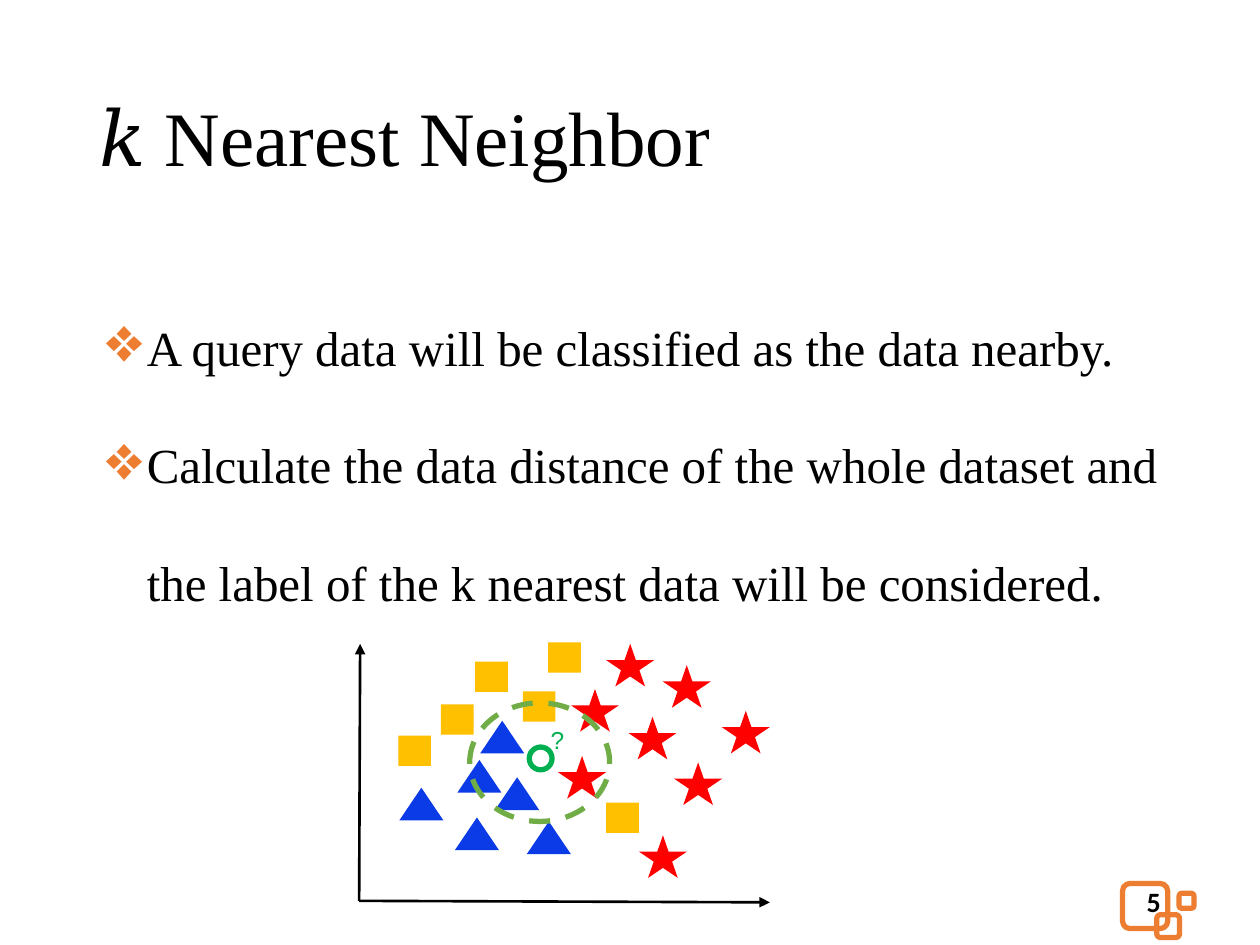
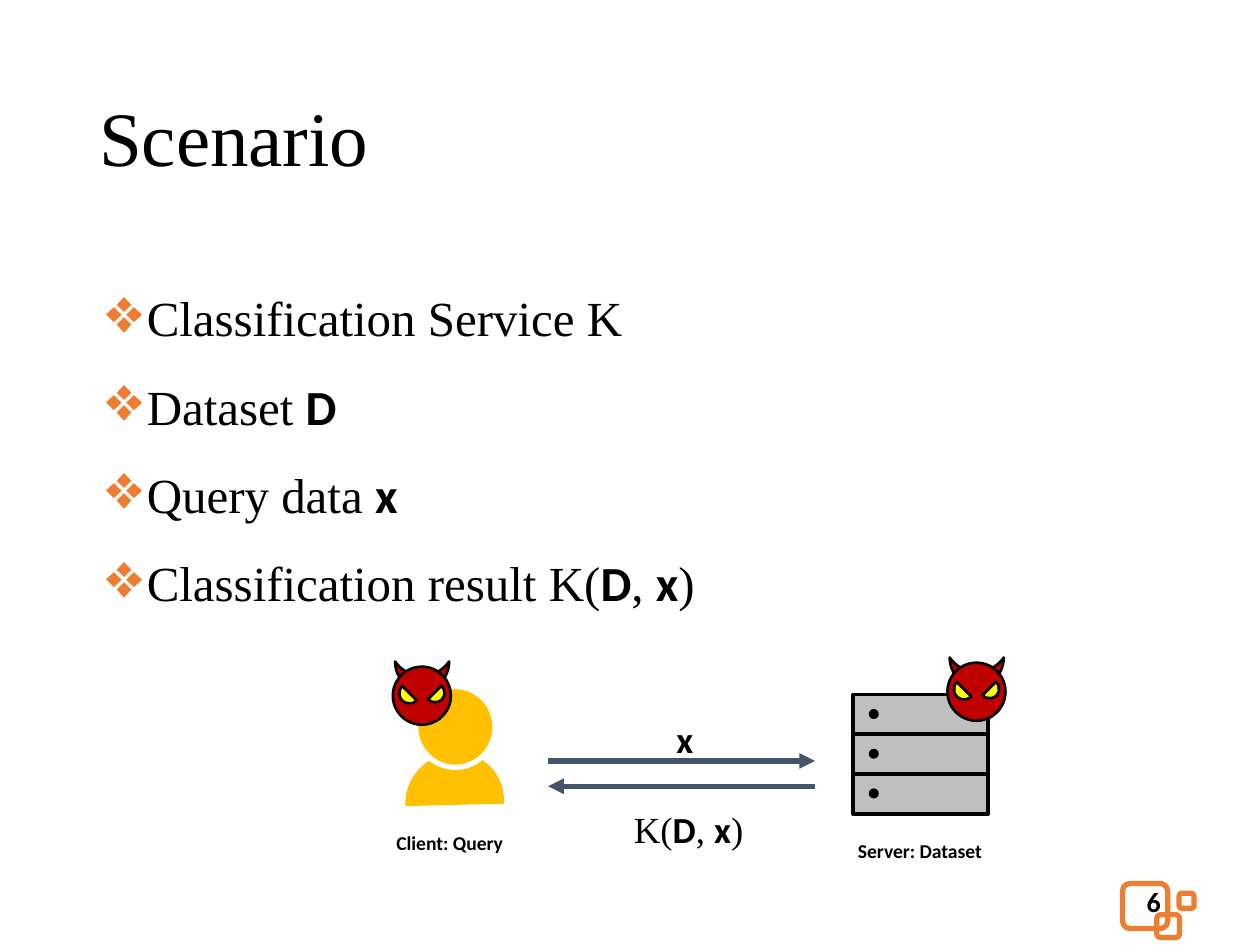
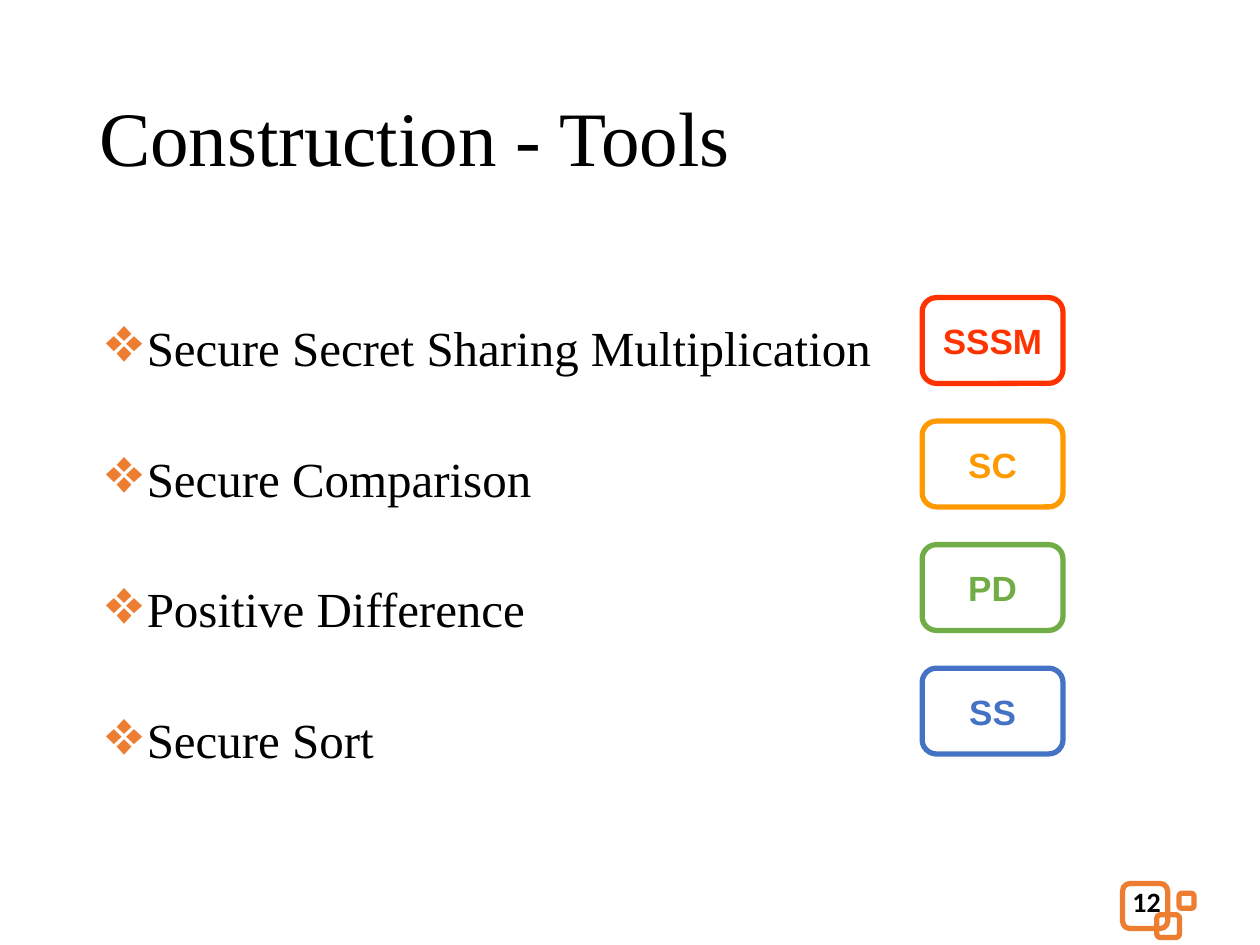
"""Build three slides on nearest neighbour search between a client and a server."""
from dataclasses import dataclass
from typing import NamedTuple

from lxml.etree import SubElement
from pptx import Presentation
from pptx.dml.color import RGBColor
from pptx.enum.dml import MSO_LINE
from pptx.enum.shapes import MSO_CONNECTOR, MSO_SHAPE
from pptx.enum.text import MSO_ANCHOR, PP_ALIGN
from pptx.oxml.ns import qn
from pptx.shapes.autoshape import Shape
from pptx.slide import Slide
from pptx.text.text import TextFrame
from pptx.util import Cm, Pt

HUES = {
    "black": "000000", "white": "FFFFFF", "orange": "ED7D31", "gold": "FFC000",
    "red": "FF0000", "blue": "0B3AE7", "query": "00B050", "green": "70AD47",
    "gray": "BFBFBF", "slate": "44546A", "devil": "C00000", "yellow": "FFFF00",
    "flame": "FF3300", "amber": "FF9900", "cobalt": "4472C4",
}
SERIF, SANS, PLAIN = "Times New Roman", "Calibri", "Arial"


class Box(NamedTuple):
    left: float
    top: float
    width: float
    height: float

    def move(self, right: float, down: float) -> "Box":
        return self._replace(left=self.left + right, top=self.top + down)


class Bit(NamedTuple):
    text: str
    font: str = SERIF
    bold: bool = False


@dataclass(frozen=True)
class Form:
    kind: MSO_SHAPE
    box: Box
    fill: str = ""
    line: str = ""
    weight: float = 1.5
    turn: float = 0
    flip: bool = False
    bends: tuple[float, ...] = ()


@dataclass(frozen=True)
class Style:
    size: float
    color: str = "black"
    align: PP_ALIGN = PP_ALIGN.LEFT
    anchor: MSO_ANCHOR = MSO_ANCHOR.TOP
    space: float = 1.0
    before: float = 0
    bullet: bool = False
    inset: tuple[float, float] = (0.25, 0.13)


class Cloud(NamedTuple):
    kind: MSO_SHAPE
    color: str
    width: float
    height: float
    spots: list[tuple[float, float]]


class Tool(NamedTuple):
    name: str
    short: str
    color: str


TITLE = Style(44, anchor=MSO_ANCHOR.MIDDLE, space=0.9)
NUMBER = Style(16, align=PP_ALIGN.RIGHT, anchor=MSO_ANCHOR.MIDDLE)
CAPTION = Style(11.2, align=PP_ALIGN.CENTER, anchor=MSO_ANCHOR.BOTTOM, inset=(0.18, 0.18))
D, X = Bit("D", SANS, True), Bit("x", SANS, True)
RESULT = [Bit("K("), D, Bit(", "), X, Bit(")")]

BADGE = [
    Form(MSO_SHAPE.ROUNDED_RECTANGLE, Box(left, top, side, side), line="orange", weight=3)
    for left, top, side in [(22.63, 17.81, 0.91), (23.32, 18.44, 0.46), (23.77, 18.01, 0.3)]
]
DEVIL = [
    Form(MSO_SHAPE.MOON, Box(0.3, -0.36, 0.58, 1.09), "devil", "black", turn=270),
    Form(MSO_SHAPE.OVAL, Box(0, 0, 1.17, 1.17), "devil", "black"),
    Form(MSO_SHAPE.PIE, Box(0.13, 0.33, 0.41, 0.41), "yellow", "black",
         turn=315, bends=(54, 162)),
    Form(MSO_SHAPE.PIE, Box(0.64, 0.33, 0.41, 0.38), "yellow", "black",
         turn=45, flip=True, bends=(54, 162)),
]
CLOUDS = [
    Cloud(MSO_SHAPE.RECTANGLE, "gold", 0.66, 0.61, [
        (8.89, 14.2), (9.58, 13.34), (8.03, 14.83), (10.54, 13.94),
        (11.05, 12.95), (12.22, 16.18)]),
    Cloud(MSO_SHAPE.ISOSCELES_TRIANGLE, "blue", 0.89, 0.66, [
        (9.17, 16.48), (8.05, 15.88), (10.62, 16.56), (9.22, 15.32),
        (9.98, 15.67), (9.68, 14.53)]),
    Cloud(MSO_SHAPE.STAR_5_POINT, "red", 0.97, 0.86, [
        (12.22, 12.98), (12.67, 14.45), (11.25, 15.24), (13.36, 13.41),
        (13.59, 15.37), (14.55, 14.33), (11.51, 13.89), (12.88, 16.84)]),
]
TOOLS = [
    Tool("Secure Secret Sharing Multiplication", "SSSM", "flame"),
    Tool("Secure Comparison", "SC", "amber"),
    Tool("Positive Difference", "PD", "green"),
    Tool("Secure Sort", "SS", "cobalt"),
]


def hue(name: str) -> RGBColor:
    return RGBColor.from_string(HUES[name])


def draw(slide: Slide, form: Form, right: float = 0, down: float = 0) -> Shape:
    shape = slide.shapes.add_shape(form.kind, *map(Cm, form.box.move(right, down)))
    shape.shadow.inherit = False
    shape.rotation = form.turn
    if form.flip:
        shape._element.spPr.xfrm.set("flipH", "1")
    for index, bend in enumerate(form.bends):
        shape.adjustments[index] = bend
    if form.fill:
        shape.fill.solid()
        shape.fill.fore_color.rgb = hue(form.fill)
    else:
        shape.fill.background()
    if form.line:
        shape.line.color.rgb = hue(form.line)
        shape.line.width = Pt(form.weight)
    else:
        shape.line.fill.background()
    return shape


def write(frame: TextFrame, lines: list[list[Bit]], style: Style) -> None:
    frame.word_wrap = True
    frame.vertical_anchor = style.anchor
    frame.margin_left = frame.margin_right = Cm(style.inset[0])
    frame.margin_top = frame.margin_bottom = Cm(style.inset[1])
    for index, bits in enumerate(lines):
        para = frame.add_paragraph() if index else frame.paragraphs[0]
        para.alignment = style.align
        para.line_spacing = style.space
        para.space_before = Pt(style.before)
        if style.bullet:
            props = para._p.get_or_add_pPr()
            props.set("marL", str(Cm(0.96)))
            props.set("indent", str(Cm(-0.82)))
            tint = SubElement(props, qn("a:buClr"))
            SubElement(tint, qn("a:srgbClr"), val=HUES["orange"])
            SubElement(props, qn("a:buSzPct"), val="130000")
            SubElement(props, qn("a:buChar"), char="❖")
        for bit in bits:
            run = para.add_run()
            run.text = bit.text
            run.font.name = bit.font
            run.font.size = Pt(style.size)
            run.font.bold = bit.bold
            run.font.color.rgb = hue(style.color)


def label(slide: Slide, box: Box, lines: list[list[Bit]], style: Style) -> None:
    write(slide.shapes.add_textbox(*map(Cm, box)).text_frame, lines, style)


def arrow(slide: Slide, start: tuple[float, float], end: tuple[float, float],
          color: str, weight: float) -> None:
    line = slide.shapes.add_connector(MSO_CONNECTOR.STRAIGHT, *map(Cm, start + end))
    line.line.color.rgb = hue(color)
    line.line.width = Pt(weight)
    props = line._element.spPr
    SubElement(props.find(qn("a:ln")), qn("a:tailEnd"), type="triangle")
    SubElement(props, qn("a:effectLst"))


def start(deck: Presentation, number: int, title: str,
          points: list[list[Bit]], space: float, before: float = 0) -> Slide:
    slide = deck.slides.add_slide(deck.slide_layouts[6])
    label(slide, Box(17.93, 17.65, 5.72, 1.02), [[Bit(str(number), SANS, True)]], NUMBER)
    for form in BADGE:
        draw(slide, form)
    label(slide, Box(1.75, 1.02, 21.9, 3.68), [[Bit(title)]], TITLE)
    body = Style(28, space=space, before=before, bullet=True)
    label(slide, Box(1.75, 5.08, 21.9, 12.09), points, body)
    return slide


def nearest(deck: Presentation) -> None:
    slide = start(deck, 5, "𝑘 Nearest Neighbor", [
        [Bit("A query data will be classified as the data nearby.")],
        [Bit("Calculate the data distance of the whole dataset and "
             "the label of the k nearest data will be considered.")],
    ], 2.0)
    draw(slide, Form(MSO_SHAPE.OVAL, Box(10.67, 15.06, 0.46, 0.46), line="query", weight=3))
    label(slide, Box(10.85, 14.48, 0.91, 0.89), [[Bit("?", PLAIN)]], Style(14, "query"))
    for cloud in CLOUDS:
        for spot in cloud.spots:
            draw(slide, Form(cloud.kind, Box(*spot, cloud.width, cloud.height), cloud.color))
    for end in [(7.26, 12.98), (15.52, 18.19)]:
        arrow(slide, (7.24, 18.16), end, "black", 1.5)
    ring = draw(slide, Form(MSO_SHAPE.OVAL, Box(9.47, 14.17, 2.82, 2.39),
                            line="green", weight=3))
    ring.line.dash_style = MSO_LINE.DASH


def service(deck: Presentation) -> None:
    slide = start(deck, 6, "Scenario", [
        [Bit("Classification Service K")],
        [Bit("Dataset "), D],
        [Bit("Query data "), X],
        [Bit("Classification result "), *RESULT],
    ], 1.5)
    rack = Form(MSO_SHAPE.RECTANGLE, Box(17.2, 14, 2.72, 0.81), "gray", "black", 2)
    light = Form(MSO_SHAPE.OVAL, Box(17.55, 14.33, 0.13, 0.13), "black", "black", 2)
    for row in range(3):
        for form in (rack, light):
            draw(slide, form, down=0.8 * row)
    near, far = 11.05, 16.43
    arrow(slide, (near, 15.34), (far, 15.34), "slate", 3)
    arrow(slide, (far, 15.85), (near, 15.85), "slate", 3)
    inset = (0.18, 0.18)
    label(slide, Box(12.93, 13.39, 1.75, 2.21), [[X]],
          Style(21, align=PP_ALIGN.CENTER, space=2.0, inset=inset))
    label(slide, Box(12.6, 15.19, 3.45, 2.18), [RESULT], Style(21, space=2.0, inset=inset))
    for text, box in [("Server: Dataset", Box(15.65, 16.59, 5.79, 0.97)),
                      ("Client: Query", Box(6.65, 16.43, 4.83, 0.97))]:
        label(slide, box, [[Bit(text, SANS, True)]], CAPTION)
    draw(slide, Form(MSO_SHAPE.CHORD, Box(8.15, 15.19, 2.03, 1.96), "gold",
                     turn=130.4, bends=(27, 138.87)))
    draw(slide, Form(MSO_SHAPE.OVAL, Box(8.38, 13.84, 1.6, 1.63), "gold", "white", 3))
    for spot in [(19.1, 13.36), (7.92, 13.44)]:
        for form in DEVIL:
            draw(slide, form, *spot)


def tools(deck: Presentation) -> None:
    slide = start(deck, 12, "Construction - Tools",
                  [[Bit(tool.name)] for tool in TOOLS], 2.0, 7.5)
    for row, tool in enumerate(TOOLS):
        chip = draw(slide, Form(MSO_SHAPE.ROUNDED_RECTANGLE, Box(18.59, 6, 2.84, 1.73),
                                "white", tool.color, 3), down=2.49 * row)
        write(chip.text_frame, [[Bit(tool.short, PLAIN, True)]],
              Style(20, tool.color, PP_ALIGN.CENTER, MSO_ANCHOR.MIDDLE))


def main() -> None:
    deck = Presentation()
    deck.slide_width, deck.slide_height = Cm(25.4), Cm(19.05)
    for build in (nearest, service, tools):
        build(deck)
    deck.save("out.pptx")


if __name__ == "__main__":
    main()
